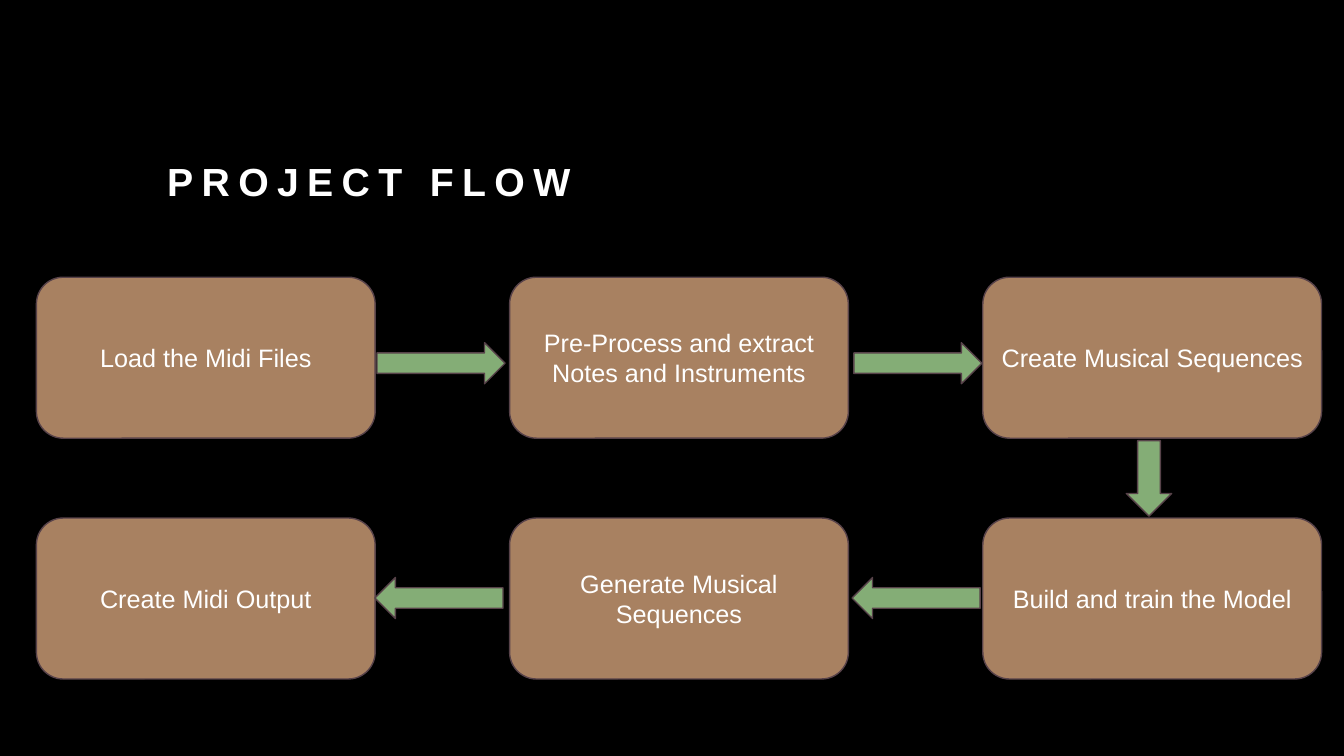
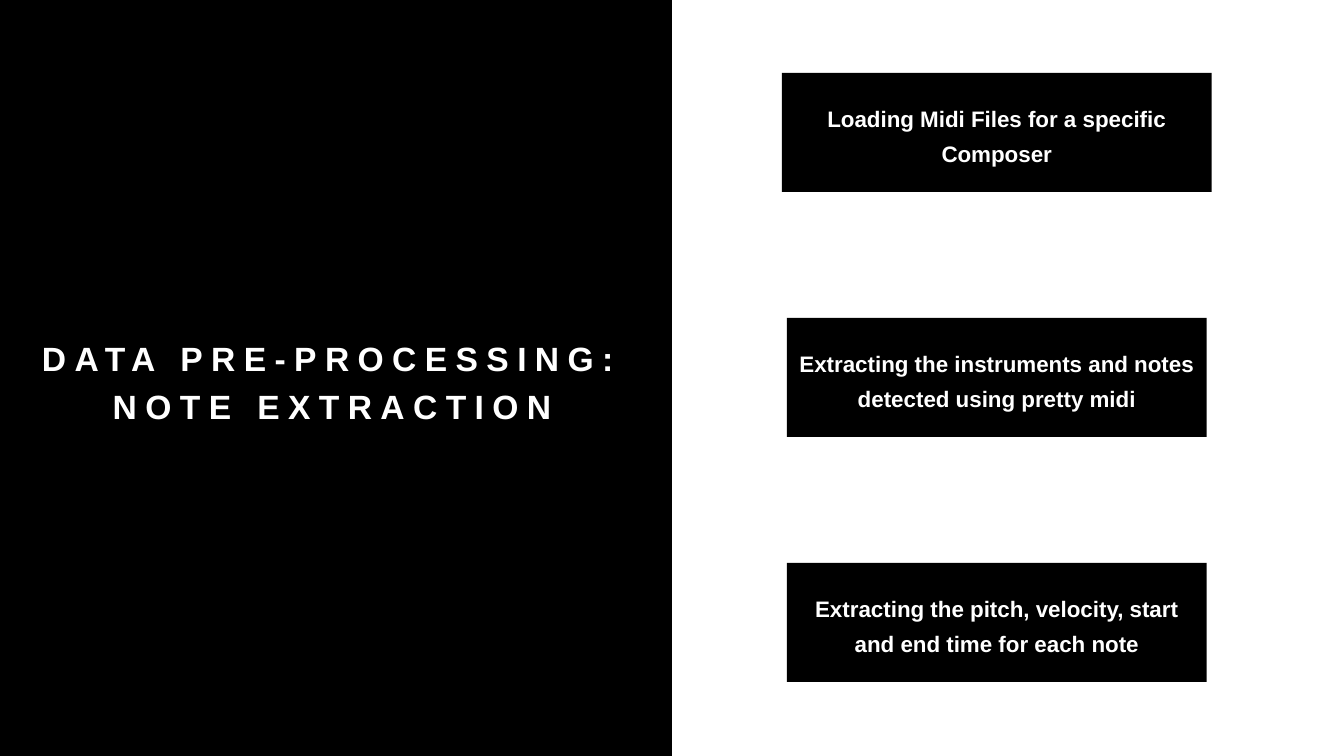
from pptx import Presentation
from pptx.dml.color import RGBColor
from pptx.enum.shapes import MSO_SHAPE
from pptx.enum.text import MSO_ANCHOR, PP_ALIGN
from pptx.util import Pt

BLACK = RGBColor(0x00, 0x00, 0x00)
WHITE = RGBColor(0xFF, 0xFF, 0xFF)
BROWN = RGBColor(0xA8, 0x81, 0x61)
GREEN = RGBColor(0x84, 0xAD, 0x76)
OUTLINE = RGBColor(0x57, 0x42, 0x49)
FONT = "Arial"
RECT, ROUNDED, ARROW = MSO_SHAPE.RECTANGLE, MSO_SHAPE.ROUNDED_RECTANGLE, MSO_SHAPE.RIGHT_ARROW
LEFT, CENTER = PP_ALIGN.LEFT, PP_ALIGN.CENTER
MIDDLE, BOTTOM = MSO_ANCHOR.MIDDLE, MSO_ANCHOR.BOTTOM


def write(shape, text, size, bold=False, align=CENTER, anchor=MIDDLE, line_spacing=None, tracking=None):
    frame = shape.text_frame
    frame.word_wrap = True
    frame.vertical_anchor = anchor
    paragraph = frame.paragraphs[0]
    run = paragraph.add_run()
    run.text = text
    paragraph.alignment = align
    paragraph.line_spacing = line_spacing
    font = paragraph.font
    font.name, font.size, font.bold = FONT, Pt(size), bold
    font.color.rgb = WHITE
    if tracking:
        run.font._element.set("spc", str(tracking * 100))


def add_block(slide, kind, left, top, width, height, fill, outline=None):
    block = slide.shapes.add_shape(kind, Pt(left), Pt(top), Pt(width), Pt(height))
    block.shadow.inherit = False
    block.fill.solid()
    block.fill.fore_color.rgb = fill
    if outline is None:
        block.line.fill.background()
    else:
        block.line.color.rgb = outline
        block.line.width = Pt(1)
    return block


prs = Presentation()
prs.slide_width, prs.slide_height = Pt(960), Pt(540)
blank = prs.slide_layouts[6]
TITLE_STYLE = dict(bold=True, line_spacing=1.2, tracking=6)

# Slide 1: project flow
flow = prs.slides.add_slide(blank)
flow.background.fill.solid()
flow.background.fill.fore_color.rgb = BLACK
flow_title = flow.shapes.add_textbox(Pt(112.3), Pt(82), Pt(727), Pt(67.7))
write(flow_title, "PROJECT FLOW", 28, align=LEFT, anchor=BOTTOM, **TITLE_STYLE)

# Steps on a grid of two rows and three columns
STEP_ROWS = [
    ["Load the Midi Files", "Pre-Process and extract Notes and Instruments", "Create Musical Sequences"],
    ["Create Midi Output", "Generate Musical Sequences", "Build and train the Model"],
]
for row, steps in enumerate(STEP_ROWS):
    for column, step in enumerate(steps):
        box = add_block(flow, ROUNDED, 26 + 338 * column, 198 + 172 * row, 242, 115, BROWN, OUTLINE)
        write(box, step, 18)

# Arrows between the steps: left, top, width, height, rotation
ARROWS = [
    (269.3, 244.8, 91.5, 29.3, 0),
    (609.9, 244.8, 91.5, 29.3, 0),
    (793.7, 325.5, 54, 32.4, 90),
    (608.6, 412.5, 91.5, 29.3, 180),
    (267.8, 412.5, 91.5, 29.3, 180),
]
for *place, rotation in ARROWS:
    arrow = add_block(flow, ARROW, *place, GREEN, OUTLINE)
    arrow.rotation = rotation

# Slide 2: note extraction
extraction = prs.slides.add_slide(blank)
extraction.background.fill.solid()
extraction.background.fill.fore_color.rgb = WHITE
add_block(extraction, RECT, 0, 0, 480, 540, BLACK)
extraction_title = extraction.shapes.add_textbox(Pt(13.7), Pt(120), Pt(447), Pt(300))
write(extraction_title, "DATA PRE-PROCESSING: NOTE EXTRACTION", 24, **TITLE_STYLE)

# Stages centred on one axis
AXIS = 712
STAGES = [
    ("Loading Midi Files for a specific Composer", 307),
    ("Extracting the instruments and notes detected using pretty midi", 300),
    ("Extracting the pitch, velocity, start and end time for each note", 300),
]
for index, (stage, width) in enumerate(STAGES):
    panel = add_block(extraction, RECT, AXIS - width / 2, 52 + 175 * index, width, 85, BLACK)
    write(panel, stage, 16, bold=True, line_spacing=1.3)

prs.save("out.pptx")
